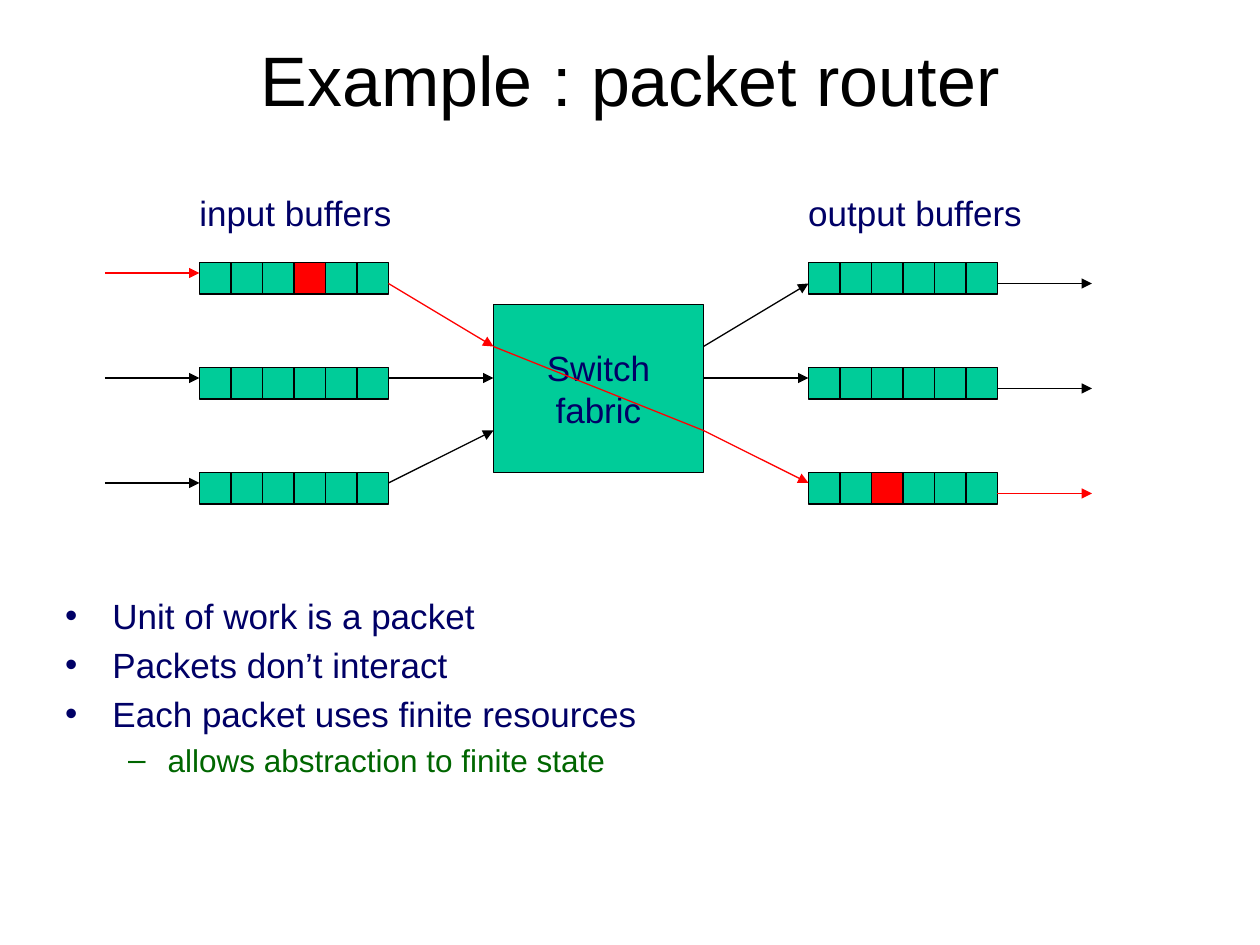
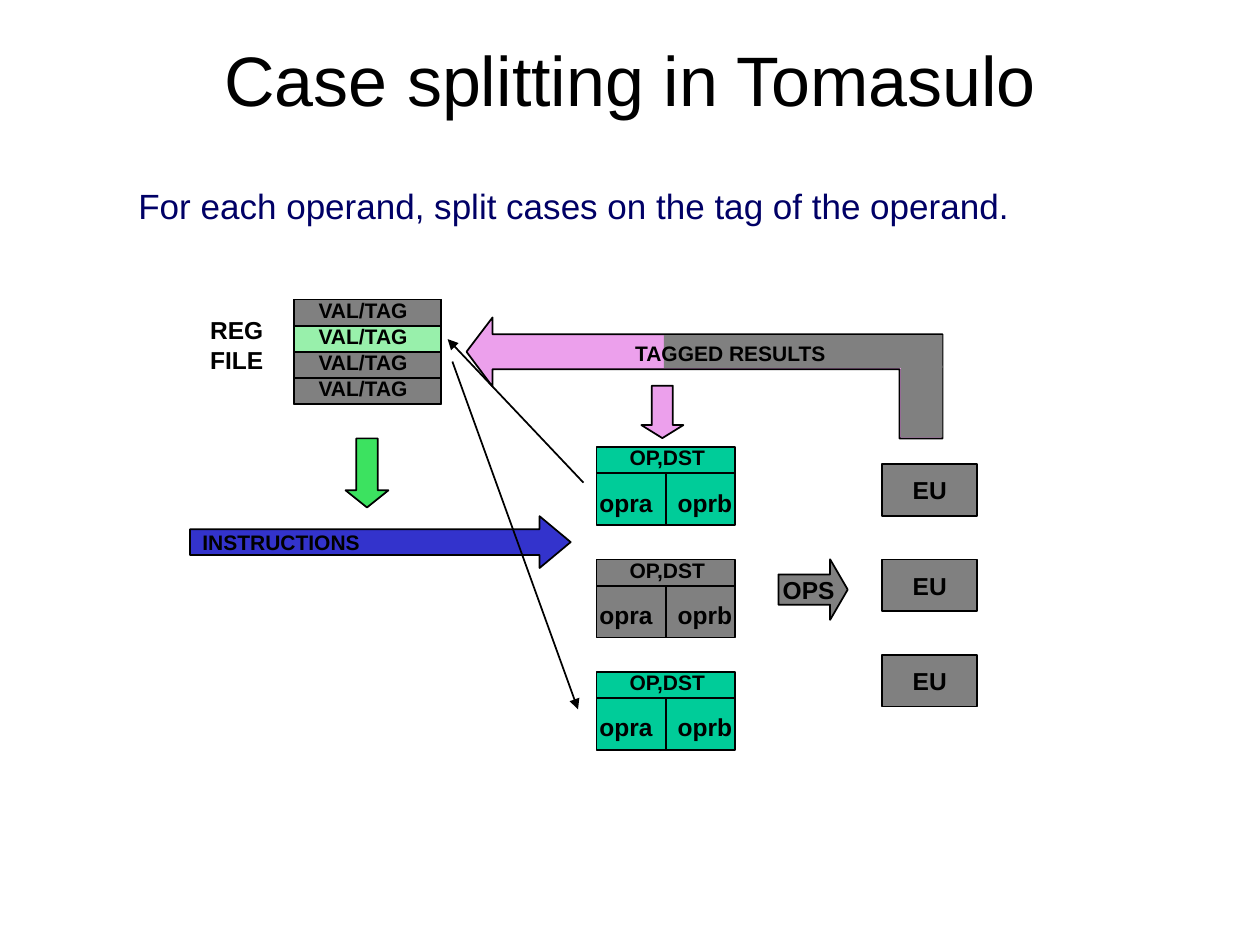
from lxml.etree import SubElement
from pptx import Presentation
from pptx.dml.color import RGBColor
from pptx.enum.shapes import MSO_CONNECTOR, MSO_SHAPE
from pptx.enum.text import MSO_ANCHOR, PP_ALIGN
from pptx.oxml.ns import qn
from pptx.util import Pt

# Shared style
FONT = "Arial"
BLACK, NAVY, DARK_GREEN = "000000", "000066", "006600"
TEAL, GRAY, RED = "00CC99", "808080", "FF0000"
PINK, BLUE, LIGHT_GREEN, GREEN = "ECA0EC", "3333CC", "98F0AB", "3CE260"
TITLE_BOX = (18, 12, 684, 66)

# Packet router: content
ROUTER_TITLE = "Example : packet router"
BUFFER_LABELS = [("input buffers", 106.8), ("output buffers", 454.8)]
ROUTER_POINTS = [  # text, level
    ("Unit of work is a packet", 0),
    ("Packets don’t interact", 0),
    ("Each packet uses finite resources", 0),
    ("allows abstraction to finite state", 1),
]
LEVELS = [  # bullet, margin, indent, size, space before, colour
    ("•", 27, -27, 20, 4, NAVY),
    ("–", 58.5, -22.5, 18, 4, DARK_GREEN),
]
FABRIC = (282, 174, 120, 96)
BUFFER_ROWS = [150, 210, 270]
CELL, CELLS = 18, 6
INPUT_X, OUTPUT_X = 114, 462
ARRIVAL_X, DEPARTURE_X = 60, 624
PORTS = [198, 216, 246]       # where links meet the fabric
LINK_ENDS = [162, 216, 276]   # where links meet the buffers
PACKET_IN, PACKET_OUT = (0, 3), (2, 2)  # buffer row, cell

# Tomasulo: content
TOMASULO_TITLE = "Case splitting in Tomasulo"
TOMASULO_TEXT = "For each operand, split cases on the tag of the operand."
REGISTER_X, REGISTER_Y, REGISTER_WIDTH, REGISTER_HEIGHT = 168, 171.2, 84, 14.9
REGISTER_COUNT, SPLIT_REGISTER = 4, 1
STATION_FILLS = [TEAL, GRAY, TEAL]
STATION_X, STATION_Y, STATION_STEP = 340.8, 255.6, 64.2
STATION_WIDTH, STATION_HEIGHT, STATION_HEADER = 79.4, 44.5, 14.9
STATION_LABELS = [  # text, offset and size within the station, font size
    ("OP,DST", 11, -5, 59, 21.5, 12),
    ("opra", -5.3, 19.5, 44.5, 24, 14),
    ("oprb", 39.2, 19.5, 45.5, 24, 14),
]
UNIT_COUNT, UNIT_X, UNIT_Y, UNIT_STEP = 3, 504, 265.2, 54.5
RESULT_BUS = [(538.6, 250.6), (538.6, 191), (281.5, 191), (281.5, 181.4),
              (266.6, 201), (281.5, 221), (281.5, 211), (514, 211), (514, 250.6)]
BUS_COVERS = [(379.4, 191.5, 159.1, 18.7), (514.8, 209, 23.8, 41)]
BLOCK_ARROWS = [  # shape, box, head adjustment, fill, text, size, alignment
    (MSO_SHAPE.RIGHT_ARROW, (444.8, 319.6, 39.6, 34.6), 0.29, GRAY,
     "OPS", 14, PP_ALIGN.CENTER),
    (MSO_SHAPE.RIGHT_ARROW, (108.6, 295, 217.5, 29.6), 0.6, BLUE,
     "INSTRUCTIONS", 12, PP_ALIGN.LEFT),
    (MSO_SHAPE.DOWN_ARROW, (197.5, 250.5, 24.5, 39.5), 0.4, GREEN,
     "", 12, PP_ALIGN.CENTER),
    (MSO_SHAPE.DOWN_ARROW, (366.5, 220.4, 24, 30), 0.31, PINK,
     "", 12, PP_ALIGN.CENTER),
]
TAG_ARROWS = [(333.4, 275.8, 255.8, 193.8), (258.5, 206.6, 330.3, 405.3)]


def color(value):
    return RGBColor.from_string(value)


def points(*lengths):
    return [Pt(length) for length in lengths]


def format_runs(paragraph, size, ink, bold=False):
    for run in paragraph.runs:
        font = run.font
        font.name, font.size, font.bold = FONT, Pt(size), bold
        font.color.rgb = color(ink)


def write(shape, text, size, ink, bold=False, align=PP_ALIGN.CENTER,
          anchor=MSO_ANCHOR.MIDDLE):
    frame = shape.text_frame
    frame.text = text
    frame.vertical_anchor = anchor
    frame.word_wrap = align == PP_ALIGN.LEFT
    if align == PP_ALIGN.CENTER:
        frame.margin_left = frame.margin_right = 0
    for paragraph in frame.paragraphs:
        paragraph.alignment = align
        format_runs(paragraph, size, ink, bold)


def add_text(slide, box, text, size, ink, **style):
    write(slide.shapes.add_textbox(*points(*box)), text, size, ink, **style)


def paint(shape, fill, line_width):
    shape.shadow.inherit = False
    shape.fill.solid()
    shape.fill.fore_color.rgb = color(fill)
    if line_width:
        shape.line.color.rgb = color(BLACK)
        shape.line.width = Pt(line_width)
    else:
        shape.line.fill.background()


def add_block(slide, box, fill, line_width, kind=MSO_SHAPE.RECTANGLE):
    shape = slide.shapes.add_shape(kind, *points(*box))
    paint(shape, fill, line_width)
    frame = shape.text_frame
    frame.margin_top = frame.margin_bottom = 0
    return shape


def add_line(slide, ends, width, ink=BLACK, arrow=False):
    line = slide.shapes.add_connector(MSO_CONNECTOR.STRAIGHT, *points(*ends))
    line.line.color.rgb = color(ink)
    line.line.width = Pt(width)
    if arrow:
        SubElement(line.line._get_or_add_ln(), qn("a:tailEnd"), type="triangle")
    SubElement(line._element.spPr, qn("a:effectLst"))


def add_slide(presentation, title):
    slide = presentation.slides.add_slide(presentation.slide_layouts[6])
    add_text(slide, TITLE_BOX, title, 40, BLACK)
    return slide


def add_bullets(slide, box, items):
    frame = slide.shapes.add_textbox(*points(*box)).text_frame
    frame.word_wrap = True
    frame.text = "\n".join(text for text, level in items)
    for index, (paragraph, (text, level)) in enumerate(zip(frame.paragraphs, items)):
        bullet, margin, indent, size, space, ink = LEVELS[level]
        paragraph.level = level
        properties = paragraph._p.get_or_add_pPr()
        properties.set("marL", str(Pt(margin)))
        properties.set("indent", str(Pt(indent)))
        SubElement(properties, qn("a:buFont"), typeface=FONT)
        SubElement(properties, qn("a:buChar"), char=bullet)
        paragraph.space_before = Pt(space if index else 0)
        format_runs(paragraph, size, ink)


def add_buffer(slide, left, top):
    add_block(slide, (left, top, CELL * CELLS, CELL), TEAL, 0.75)
    for number in range(1, CELLS):
        x = left + number * CELL
        add_line(slide, (x, top, x, top + CELL), 0.75)


def build_router(presentation):
    slide = add_slide(presentation, ROUTER_TITLE)
    add_bullets(slide, (30.2, 336, 654, 174), ROUTER_POINTS)
    for text, left in BUFFER_LABELS:
        add_text(slide, (left, 106, 180, 36), text, 20, NAVY,
                 align=PP_ALIGN.LEFT, anchor=MSO_ANCHOR.TOP)
    write(add_block(slide, FABRIC, TEAL, 0.75), "Switch\nfabric", 20, NAVY)

    # Buffers and their links; the packet's route is red
    fabric_left, fabric_right = FABRIC[0], FABRIC[0] + FABRIC[2]
    buffer_width = CELL * CELLS
    for row, (top, port, end) in enumerate(zip(BUFFER_ROWS, PORTS, LINK_ENDS)):
        add_buffer(slide, INPUT_X, top)
        add_buffer(slide, OUTPUT_X, top)
        in_ink = RED if row == PACKET_IN[0] else BLACK
        out_ink = RED if row == PACKET_OUT[0] else BLACK
        links = [
            ((ARRIVAL_X, top + 6, INPUT_X, top + 6), in_ink),
            ((INPUT_X + buffer_width, end, fabric_left, port), in_ink),
            ((fabric_right, port, OUTPUT_X, end), out_ink),
            ((OUTPUT_X + buffer_width, top + 12, DEPARTURE_X, top + 12), out_ink),
        ]
        for ends, ink in links:
            add_line(slide, ends, 0.75, ink, arrow=True)

    # The packet, in both buffers and across the fabric
    for left, (row, cell) in ((INPUT_X, PACKET_IN), (OUTPUT_X, PACKET_OUT)):
        box = (left + cell * CELL, BUFFER_ROWS[row], CELL, CELL)
        add_block(slide, box, RED, 0.75)
    add_line(slide, (fabric_left, PORTS[PACKET_IN[0]],
                     fabric_right, PORTS[PACKET_OUT[0]]), 0.75, RED)


def add_register_file(slide):
    add_text(slide, (113, 176.4, 44.6, 41), "REG\nFILE", 14, BLACK, bold=True)
    add_block(slide, (REGISTER_X, REGISTER_Y, REGISTER_WIDTH,
                      REGISTER_COUNT * REGISTER_HEIGHT), LIGHT_GREEN, 1)
    for row in range(REGISTER_COUNT):
        top = REGISTER_Y + row * REGISTER_HEIGHT
        if row != SPLIT_REGISTER:
            add_block(slide, (REGISTER_X, top, REGISTER_WIDTH, REGISTER_HEIGHT),
                      GRAY, 1)
        if row:
            add_line(slide, (REGISTER_X, top, REGISTER_X + REGISTER_WIDTH, top), 1)
        add_text(slide, (REGISTER_X + 6, top - 4.7, 67, 21.5), "VAL/TAG", 12,
                 BLACK, bold=True)


def add_station(slide, top, fill):
    add_block(slide, (STATION_X, top, STATION_WIDTH, STATION_HEIGHT), fill, 1)
    header, middle = top + STATION_HEADER, STATION_X + STATION_WIDTH / 2
    add_line(slide, (STATION_X, header, STATION_X + STATION_WIDTH, header), 1)
    add_line(slide, (middle, header, middle, top + STATION_HEIGHT), 1)
    for text, x, y, width, height, size in STATION_LABELS:
        add_text(slide, (STATION_X + x, top + y, width, height), text, size,
                 BLACK, bold=True)


def build_tomasulo(presentation):
    slide = add_slide(presentation, TOMASULO_TITLE)
    add_text(slide, (72, 102, 540, 32), TOMASULO_TEXT, 20, NAVY,
             align=PP_ALIGN.LEFT, anchor=MSO_ANCHOR.TOP)
    add_register_file(slide)

    # Reservation stations and execution units
    for number, fill in enumerate(STATION_FILLS):
        add_station(slide, STATION_Y + number * STATION_STEP, fill)
    for number in range(UNIT_COUNT):
        box = (UNIT_X, UNIT_Y + number * UNIT_STEP, 54.5, 29.5)
        write(add_block(slide, box, GRAY, 1), "EU", 14, BLACK, bold=True)

    # Result bus, pink only in its last part
    builder = slide.shapes.build_freeform(*points(*RESULT_BUS[0]))
    builder.add_line_segments([points(*corner) for corner in RESULT_BUS[1:]])
    paint(builder.convert_to_shape(), PINK, 1)
    for box in BUS_COVERS:
        add_block(slide, box, GRAY, 0)
    add_text(slide, (354.6, 191, 125.5, 21.5), "TAGGED RESULTS", 12, BLACK, bold=True)

    # Block arrows and tag arrows
    for kind, box, head, fill, text, size, align in BLOCK_ARROWS:
        arrow = add_block(slide, box, fill, 1, kind)
        arrow.adjustments[1] = head
        if text:
            write(arrow, text, size, BLACK, bold=True, align=align)
    for ends in TAG_ARROWS:
        add_line(slide, ends, 1, arrow=True)


def main():
    presentation = Presentation()
    presentation.slide_width, presentation.slide_height = points(720, 540)
    build_router(presentation)
    build_tomasulo(presentation)
    presentation.save("out.pptx")


if __name__ == "__main__":
    main()
